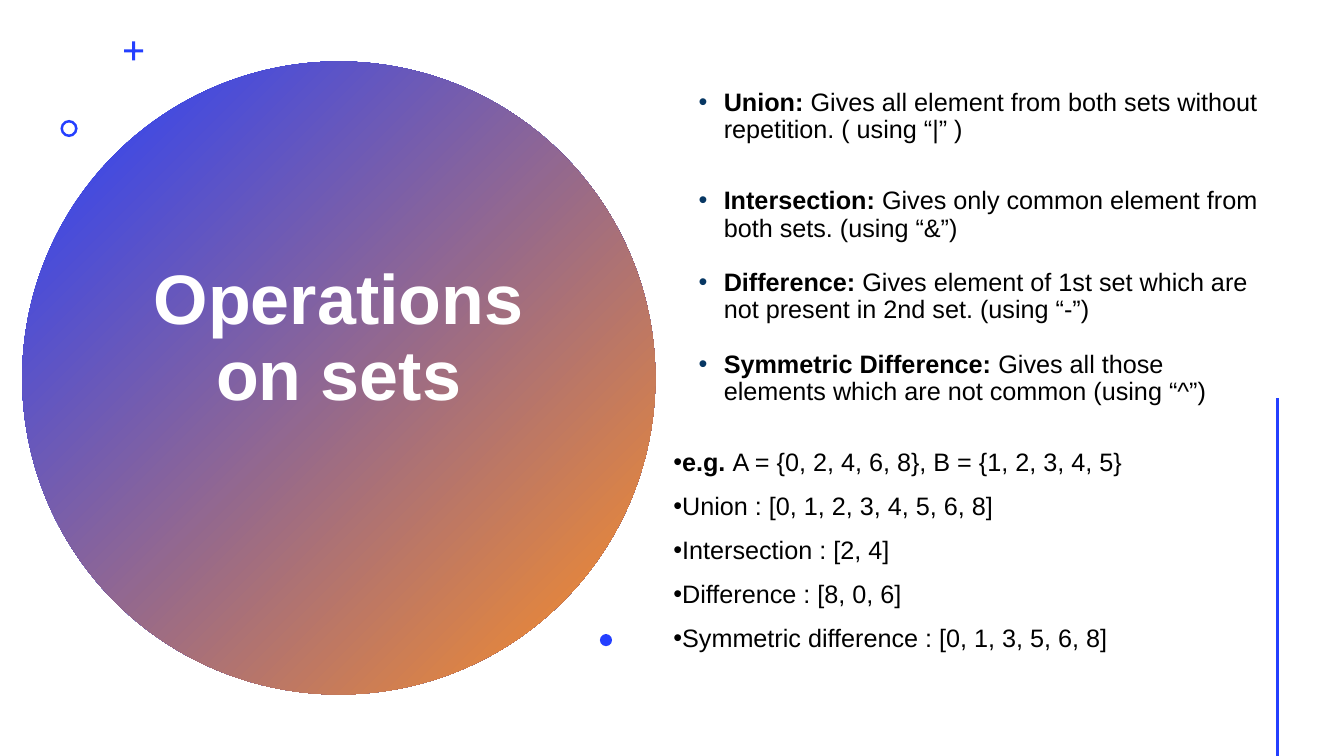
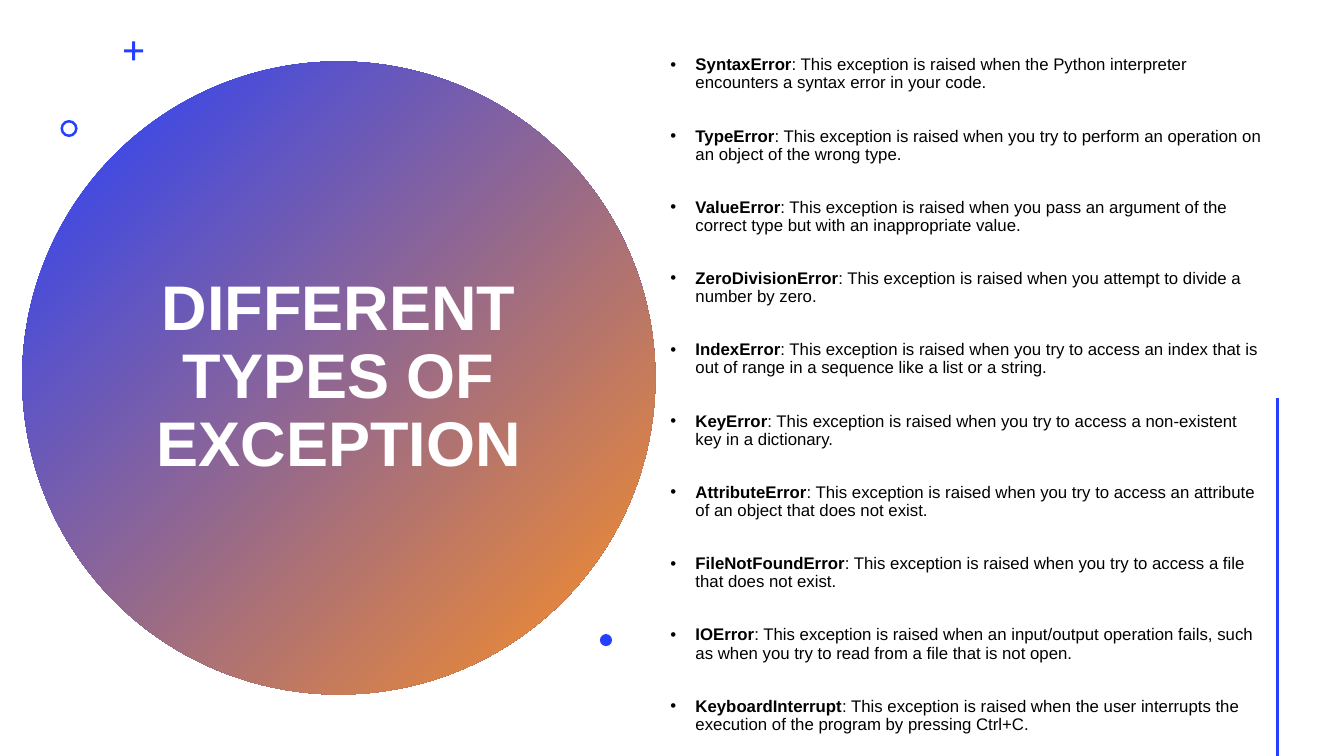
from lxml import etree
from pptx import Presentation
from pptx.dml.color import RGBColor
from pptx.enum.shapes import MSO_CONNECTOR, MSO_SHAPE
from pptx.enum.text import MSO_ANCHOR, PP_ALIGN
from pptx.oxml.ns import qn
from pptx.util import Inches, Pt

OVAL, DONUT, CROSS = MSO_SHAPE.OVAL, MSO_SHAPE.DONUT, MSO_SHAPE.CROSS
STRAIGHT = MSO_CONNECTOR.STRAIGHT
MIDDLE = MSO_ANCHOR.MIDDLE
CENTER = PP_ALIGN.CENTER

COLORS = {"blue": "243FFF", "orange": "FF9022", "white": "FFFFFF", "black": "000000", "navy": "073763"}
FONT = "Arial"
LINE_SPACING = 0.9
SLIDE_WIDTH, SLIDE_HEIGHT = Inches(13.33), Inches(7.5)
ROWS = 75
CELL = SLIDE_HEIGHT / ROWS
BULLET_INDENT = 5

DISC_BOX = (2.2, 6.1, 62.8, 62.8)
SIDE_LINE = (126.7, 39.5)
ORNAMENTS = [
    (CROSS, (12.3, 4.1, 1.9, 1.9), 0.42),
    (DONUT, (6, 11.9, 1.7, 1.7), 0.15),
    (OVAL, (59.5, 62.9, 1.2, 1.2), None),
]

SET_OPERATIONS = [
    ("Union: ", "Gives all element from both sets without repetition. ( using “|” )", 0),
    ("Intersection: ", "Gives only common element from both sets. (using “&”)", 31.5),
    ("Difference: ", "Gives element of 1st set which are not present in 2nd set. (using “-”)", 19.5),
    ("Symmetric Difference: ", "Gives all those elements which are not common (using “^”)", 19.5),
]
SET_EXAMPLES = [
    ("e.g. ", "A = {0, 2, 4, 6, 8}, B = {1, 2, 3, 4, 5}", 31.5),
    ("", "Union : [0, 1, 2, 3, 4, 5, 6, 8]", 12),
    ("", "Intersection : [2, 4]", 12),
    ("", "Difference : [8, 0, 6]", 12),
    ("", "Symmetric difference : [0, 1, 3, 5, 6, 8]", 12),
]
EXCEPTION_GAP = 25
EXCEPTIONS = [
    ("SyntaxError", "the Python interpreter encounters a syntax error in your code."),
    ("TypeError", "you try to perform an operation on an object of the wrong type."),
    ("ValueError", "you pass an argument of the correct type but with an inappropriate value."),
    ("ZeroDivisionError", "you attempt to divide a number by zero."),
    ("IndexError", "you try to access an index that is out of range in a sequence like a list or a string."),
    ("KeyError", "you try to access a non-existent key in a dictionary."),
    ("AttributeError", "you try to access an attribute of an object that does not exist."),
    ("FileNotFoundError", "you try to access a file that does not exist."),
    ("IOError", "an input/output operation fails, such as when you try to read from a file that is not open."),
    ("KeyboardInterrupt", "the user interrupts the execution of the program by pressing Ctrl+C."),
]


def color(name):
    return RGBColor.from_string(COLORS[name])


def cells(*counts):
    return [round(count * CELL) for count in counts]


def style_paragraph(paragraph, size, color_name):
    paragraph.line_spacing = LINE_SPACING
    paragraph.font.name = FONT
    paragraph.font.size = Pt(size)
    paragraph.font.color.rgb = color(color_name)


def add_text_frame(slide, box):
    frame = slide.shapes.add_textbox(*cells(*box)).text_frame
    frame.word_wrap = True
    frame.vertical_anchor = MIDDLE
    return frame


def add_plain_shape(slide, kind, box):
    shape = slide.shapes.add_shape(kind, *cells(*box))
    shape.shadow.inherit = False
    shape.line.fill.background()
    return shape


def add_disc(slide, box, title, size, lift):
    disc = add_plain_shape(slide, OVAL, box)
    disc.fill.gradient()
    disc.fill.gradient_angle = 315
    for stop, name in zip(disc.fill.gradient_stops, ("blue", "orange")):
        stop.color.rgb = color(name)

    left, top, width, height = box
    title_box = (left + 0.18 * width, top + 0.13 * height, 0.64 * width, 0.74 * height - 2 * lift)
    paragraph = add_text_frame(slide, title_box).paragraphs[0]
    paragraph.text = title
    paragraph.alignment = CENTER
    style_paragraph(paragraph, size, "white")
    paragraph.font.bold = True


def add_ornaments(slide):
    for kind, box, adjustment in ORNAMENTS:
        ornament = add_plain_shape(slide, kind, box)
        ornament.fill.solid()
        ornament.fill.fore_color.rgb = color("blue")
        if adjustment:
            ornament.adjustments[0] = adjustment


def add_side_line(slide, column, row):
    line = slide.shapes.add_connector(STRAIGHT, *cells(column, row, column, ROWS))
    line.line.color.rgb = color("blue")
    line.line.width = Pt(2)
    etree.SubElement(line._element.spPr, qn("a:effectLst"))


def add_bullet(paragraph, color_name, indent):
    properties = paragraph._p.get_or_add_pPr()
    margin = cells(indent)[0]
    properties.set("marL", str(margin))
    properties.set("indent", str(-margin // 2))
    bullet_color = etree.SubElement(properties, qn("a:buClr"))
    etree.SubElement(bullet_color, qn("a:srgbClr"), val=COLORS[color_name])
    etree.SubElement(properties, qn("a:buFont"), typeface=FONT)
    etree.SubElement(properties, qn("a:buChar"), char="•")


def add_bullets(slide, box, size, groups):
    frame = add_text_frame(slide, box)
    paragraph = frame.paragraphs[0]
    for items, bullet_color, indent in groups:
        for term, text, gap in items:
            if paragraph.runs:
                paragraph = frame.add_paragraph()
            add_bullet(paragraph, bullet_color, indent)
            style_paragraph(paragraph, size, "black")
            paragraph.space_before = Pt(gap)
            if term:
                run = paragraph.add_run()
                run.text = term
                run.font.bold = True
            paragraph.add_run().text = text


def add_topic_slide(presentation, title, title_size, title_lift, body_box, body_size, groups):
    slide = presentation.slides.add_slide(presentation.slide_layouts[6])
    slide.background.fill.solid()
    slide.background.fill.fore_color.rgb = color("white")
    add_disc(slide, DISC_BOX, title, title_size, title_lift)
    add_ornaments(slide)
    add_bullets(slide, body_box, body_size, groups)
    add_side_line(slide, *SIDE_LINE)


def main():
    presentation = Presentation()
    presentation.slide_width, presentation.slide_height = SLIDE_WIDTH, SLIDE_HEIGHT
    add_topic_slide(
        presentation, "Operations on sets", 50, 3.8, (65.8, 4.2, 60.8, 65.3), 18,
        [(SET_OPERATIONS, "navy", BULLET_INDENT), (SET_EXAMPLES, "black", 0)],
    )
    exceptions = [
        (name, f": This exception is raised when {cause}", EXCEPTION_GAP if index else 0)
        for index, (name, cause) in enumerate(EXCEPTIONS)
    ]
    add_topic_slide(
        presentation, "DIFFERENT TYPES OF EXCEPTION", 45, 0, (63, 4.2, 63.7, 70), 12,
        [(exceptions, "black", BULLET_INDENT)],
    )
    presentation.save("out.pptx")


if __name__ == "__main__":
    main()
